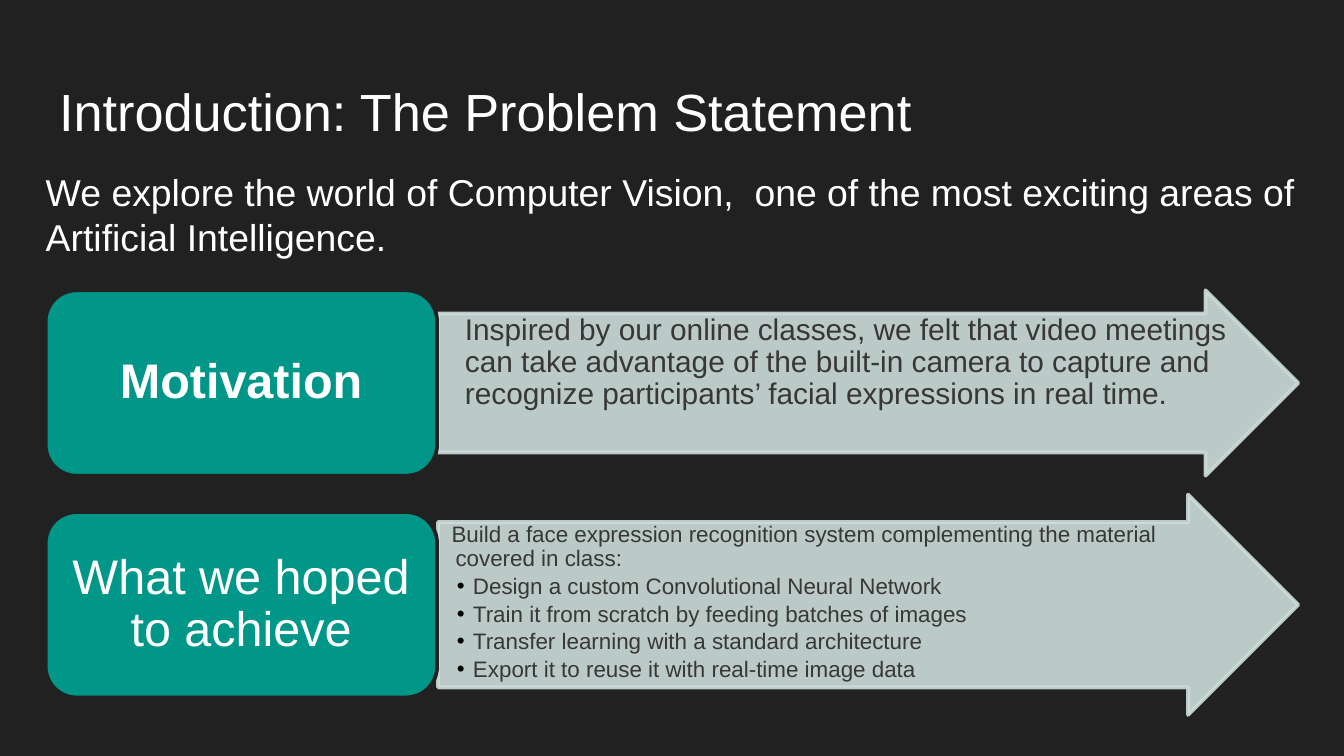
from dataclasses import dataclass

from lxml import etree
from pptx import Presentation, util as u
from pptx.dml.color import RGBColor
from pptx.enum import shapes, text
from pptx.oxml.ns import qn


@dataclass(frozen=True)
class Theme:
    font: str = "Arial"
    background: str = "212121"
    light: str = "FFFFFF"
    accent: str = "009688"
    arrow: str = "CCDDDA"
    dark: str = "373737"
    bullet: str = "000000"
    title: int = 28
    label: int = 26
    intro: int = 20
    motivation: int = 16
    goals: int = 12
    outline: int = 2


T = Theme()
WIDTH = 10
HEIGHT = WIDTH * 9 / 16
MARGIN = 0.34
CONTENT = WIDTH - 2 * MARGIN
LABEL_W = CONTENT * 5 / 16
LABEL_H = 1.38
ARROW_W = 6.4
ROW_CENTRES = (2.85, 4.5)

GOALS = [
    "Design a custom Convolutional Neural Network",
    "Train it from scratch by feeding batches of images",
    "Transfer learning with a standard architecture",
    "Export it to reuse it with real-time image data",
]


def rgb(value):
    return RGBColor.from_string(value)


def sub(parent, tag, **attrs):
    return etree.SubElement(parent, qn(tag), attrs)


def place(sp, left, top, width, height):
    sp.left, sp.top, sp.width, sp.height = map(u.Inches, (left, top, width, height))


def set_frame(tf, anchor, inset_x, inset_y):
    tf.word_wrap = True
    tf.auto_size = text.MSO_AUTO_SIZE.NONE
    tf.vertical_anchor = anchor
    tf.margin_left = tf.margin_right = u.Inches(inset_x)
    tf.margin_top = tf.margin_bottom = u.Inches(inset_y)


def write(p, words, size, color, align=text.PP_ALIGN.LEFT, spacing=0.9,
          after=0, margin=0, indent=0, bold=False, bullet=False):
    """Fill a paragraph; margin and first-line indent are in inches."""
    p.alignment, p.line_spacing = align, spacing
    p.space_before, p.space_after = u.Pt(0), u.Pt(after)
    pPr = p._p.get_or_add_pPr()
    pPr.set("marL", str(u.Inches(margin)))
    pPr.set("indent", str(u.Inches(indent)))
    if bullet:
        sub(sub(pPr, "a:buClr"), "a:srgbClr", val=T.bullet)
        sub(pPr, "a:buFont", typeface=T.font)
        sub(pPr, "a:buChar", char="•")
    else:
        sub(pPr, "a:buNone")
    r = p.add_run()
    r.text = words
    r.font.name, r.font.size, r.font.bold = T.font, u.Pt(size), bold
    r.font.color.rgb = rgb(color)


def fill_placeholder(sp, box, words, size, inset):
    place(sp, *box)
    set_frame(sp.text_frame, text.MSO_ANCHOR.TOP, inset, inset)
    write(sp.text_frame.paragraphs[0], words, size, T.light, spacing=1.0)


def add_block(s, kind, left, centre, width, height, fill, line):
    sp = s.shapes.add_shape(kind, 0, 0, 0, 0)
    place(sp, left, centre - height / 2, width, height)
    sp.shadow.inherit = False
    sp.fill.solid()
    sp.fill.fore_color.rgb = rgb(fill)
    sp.line.color.rgb = rgb(line)
    sp.line.width = u.Pt(T.outline)
    return sp


def add_arrow(s, centre, height):
    sp = add_block(s, shapes.MSO_SHAPE.RIGHT_ARROW, WIDTH - MARGIN - ARROW_W,
                   centre, ARROW_W, height, T.arrow, T.arrow)
    sp.adjustments[0], sp.adjustments[1] = 0.75, 0.5
    for color in sp._element.spPr.iter(qn("a:srgbClr")):
        sub(color, "a:alpha", val="90000")
    set_frame(sp.text_frame, text.MSO_ANCHOR.TOP, 0.01, 0.01)
    return sp.text_frame


def add_label(s, centre, words, bold=False):
    sp = add_block(s, shapes.MSO_SHAPE.ROUNDED_RECTANGLE, MARGIN, centre,
                   LABEL_W, LABEL_H, T.accent, T.background)
    set_frame(sp.text_frame, text.MSO_ANCHOR.MIDDLE, 0.11, 0.05)
    write(sp.text_frame.paragraphs[0], words, T.label, T.light,
          align=text.PP_ALIGN.CENTER, bold=bold)


def main():
    prs = Presentation()
    prs.slide_width, prs.slide_height = u.Inches(WIDTH), u.Inches(HEIGHT)
    s = prs.slides.add_slide(prs.slide_layouts[1])
    s.background.fill.solid()
    s.background.fill.fore_color.rgb = rgb(T.background)

    fill_placeholder(s.shapes.title, (MARGIN, 0.49, CONTENT, 0.63),
                     "Introduction: The Problem Statement", T.title, 0.1)
    fill_placeholder(s.placeholders[1], (MARGIN, 1.26, CONTENT, 1.17),
                     "We explore the world of Computer Vision,  one of the most "
                     "exciting areas of Artificial Intelligence.", T.intro, 0)

    first, second = ROW_CENTRES
    tf = add_arrow(s, first, 1.38)
    write(tf.paragraphs[0],
          "Inspired by our online classes, we felt that video meetings can take "
          "advantage of the built-in camera to capture and recognize participants’ "
          "facial expressions in real time.", T.motivation, T.dark, margin=0.19)
    add_label(s, first, "Motivation", bold=True)

    tf = add_arrow(s, second, 1.64)
    write(tf.paragraphs[0],
          "Build a face expression recognition system complementing the material "
          "covered in class:", T.goals, T.dark, after=1.8, margin=0.12, indent=-0.03)
    for goal in GOALS:
        write(tf.add_paragraph(), goal, T.goals, T.dark, after=1.8,
              margin=0.25, indent=-0.12, bullet=True)
    add_label(s, second, "What we hoped to achieve")

    prs.save("out.pptx")


if __name__ == "__main__":
    main()
